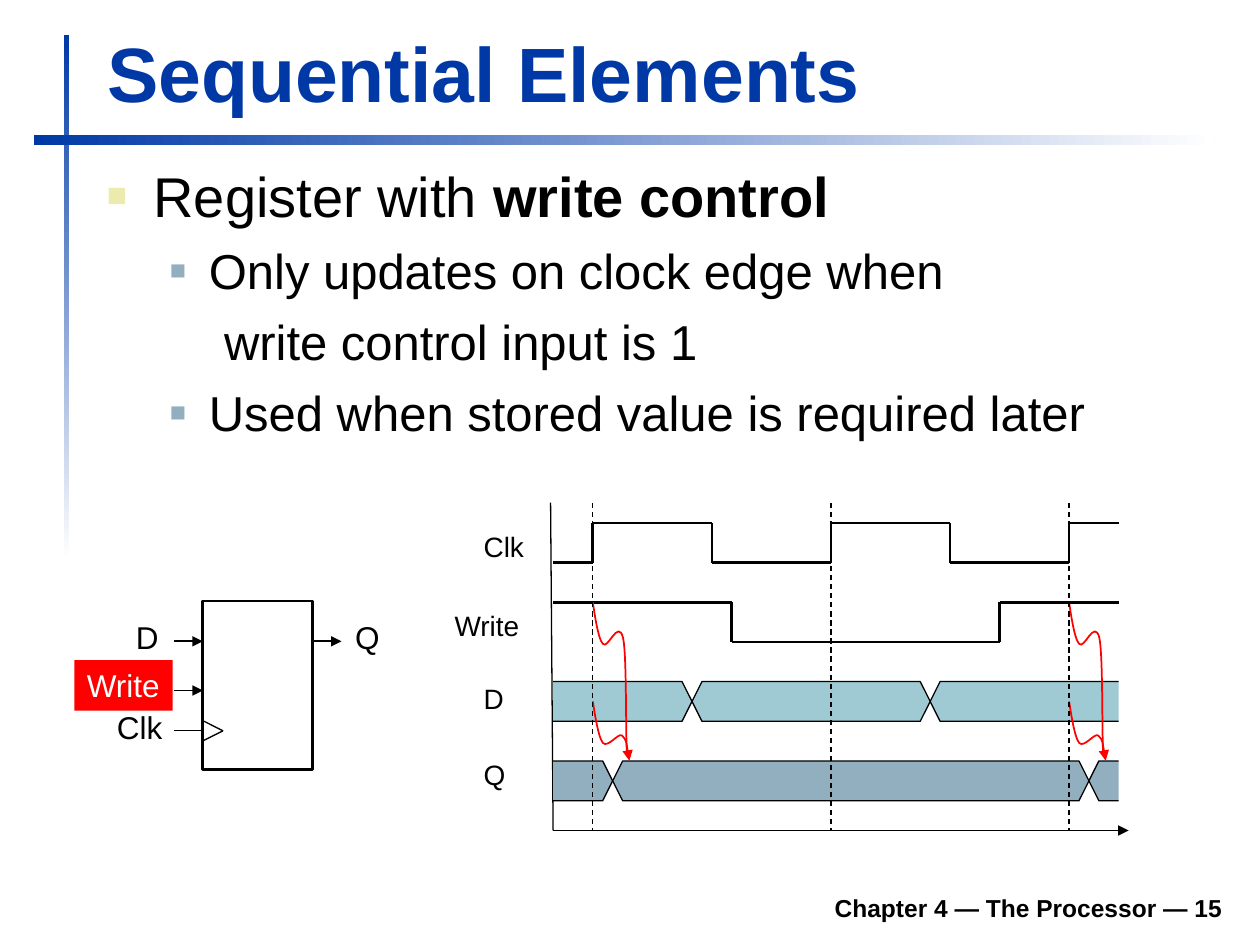
import pptx
import pptx.util
import pptx.dml.color
import pptx.enum.dml
import pptx.enum.shapes
import pptx.enum.text
import pptx.oxml
import pptx.oxml.ns

BLUE, BLACK, WHITE, RED = "0039A6", "000000", "FFFFFF", "FF0000"
TEAL, SLATE, CREAM = "9FCAD3", "91AFBF", "ECEAAC"
UNIT = 0.63 / 4  # one step of the timing grid, in inches
LEFT, TOP = 4.39, 4.15  # origin of the timing grid
END = 28.5  # last column of the signals


def inch(value):
    return pptx.util.Inches(value)


def colour(text):
    return pptx.dml.color.RGBColor.from_string(text)


def at(column, row):
    """Place on the timing grid, in inches."""
    return LEFT + column * UNIT, TOP + row * UNIT


def element(tag, **values):
    node = pptx.oxml.parse_xml(f"<a:{tag} {pptx.oxml.ns.nsdecls('a')}/>")
    for name, value in values.items():
        node.set(name, str(value))
    return node


class Page:
    """Holds the slide, its style and the place where new shapes go."""
    font = "Arial"

    def __init__(self, deck):
        self.slide = deck.slides.add_slide(deck.slide_layouts[5])
        self.shapes = self.slide.shapes

    def group(self):
        self.shapes = self.slide.shapes.add_group_shape().shapes

    def span(self, para, text, size, ink=BLACK, bold=False):
        span = para.add_run()
        span.text = text
        span.font.name, span.font.size = self.font, pptx.util.Pt(size)
        span.font.bold, span.font.color.rgb = bold, colour(ink)

    def title(self, text, place, size):
        box = self.slide.shapes.title
        box.left, box.top, box.width, box.height = map(inch, place)
        box.text_frame.vertical_anchor = pptx.enum.text.MSO_ANCHOR.BOTTOM
        para = box.text_frame.paragraphs[0]
        para.alignment = pptx.enum.text.PP_ALIGN.LEFT
        self.span(para, text, size, BLUE, True)

    def text(self, place, wrap=False):
        box = self.shapes.add_textbox(*map(inch, place))
        box.text_frame.word_wrap = wrap
        return box

    def label(self, text, place, size, ink=BLACK):
        box = self.text(place)
        self.span(box.text_frame.paragraphs[0], text, size, ink)
        return box

    def bullet(self, para, left, hang, before, ink=None, share=0):
        para.space_before = pptx.util.Pt(before)
        props = para._p.get_or_add_pPr()
        props.set("marL", str(inch(left)))
        props.set("indent", str(inch(-hang)))
        if ink:
            shade = element("buClr")
            shade.append(element("srgbClr", val=ink))
            props.extend([shade, element("buSzPct", val=share * 1000),
                          element("buFont", typeface=self.font),
                          element("buChar", char="■")])

    def rectangle(self, place):
        kind = pptx.enum.shapes.MSO_SHAPE.RECTANGLE
        box = self.shapes.add_shape(kind, *map(inch, place))
        box.shadow.inherit = False
        return box

    def fade(self, place, angle):
        bar = self.rectangle(place)
        bar.line.fill.background()
        bar.fill.gradient()
        bar.fill.gradient_angle = angle
        for stop, ink, share in zip(bar.fill.gradient_stops, (BLUE, WHITE), (0, 1)):
            stop.color.rgb, stop.position = colour(ink), share

    def stroke(self, shape, width, ink=BLACK, arrow=False):
        shape.line.color.rgb = colour(ink)
        shape.line.width = pptx.util.Pt(width)
        if arrow:
            shape.line._get_or_add_ln().append(element("tailEnd", type="triangle"))

    def line(self, start, end, width=0.75, arrow=False, dashed=False):
        kind = pptx.enum.shapes.MSO_CONNECTOR.STRAIGHT
        line = self.shapes.add_connector(kind, *map(inch, (*start, *end)))
        self.stroke(line, width, arrow=arrow)
        if dashed:
            line.line.dash_style = pptx.enum.dml.MSO_LINE.DASH
        line._element.spPr.append(element("effectLst"))

    def wave(self, corners):
        points = [at(*corner) for corner in corners]
        for start, end in zip(points, points[1:]):
            self.line(start, end, 1.5)

    def outline(self, points, closed=False):
        points = [(inch(x), inch(y)) for x, y in points]
        builder = self.shapes.build_freeform(*points[0])
        builder.add_line_segments(points[1:], close=closed)
        shape = builder.convert_to_shape()
        shape.shadow.inherit = False
        return shape

    def curve(self, start, offsets, arrow=False):
        """Joined cubic curves; each takes three of the offsets from start."""
        shape = self.outline([start] + [(start[0] + x, start[1] + y) for x, y in offsets])
        segments = shape._element.findall(".//" + pptx.oxml.ns.qn("a:lnTo"))
        for first in range(0, len(segments), 3):
            cubic = element("cubicBezTo")
            segments[first].addprevious(cubic)
            for segment in segments[first:first + 3]:
                cubic.append(segment[0])
                segment.getparent().remove(segment)
        shape.fill.background()
        self.stroke(shape, 1, RED, arrow)

    def bus(self, row, crossings, fill):
        """A data signal two rows high whose value changes at each crossing."""
        first, last = crossings
        for start, end in ((0, first), (first, last), (last, END)):
            right = [(end, row), (end, row + 2)]
            if end != END:
                right = [(end - 0.5, row), (end, row + 1), (end - 0.5, row + 2)]
            left = [(start, row + 2), (start, row)]
            if start:
                left = [(start + 0.5, row + 2), (start, row + 1), (start + 0.5, row)]
            # An open end starts the path, so that it gets no edge line
            corners = left[-1:] + right + left[:-1]
            if end == END:
                corners = right[1:] + left + right[:1]
            shape = self.outline([at(*c) for c in corners], start > 0 and end != END)
            shape.fill.solid()
            shape.fill.fore_color.rgb = colour(fill)
            self.stroke(shape, 0.75)


def main():
    deck = pptx.Presentation()
    deck.slide_width, deck.slide_height = inch(10), inch(7.5)
    page = Page(deck)

    # Rules, footer and title
    page.fade((0.51, 0.28, 0.04, 4.17), 270)
    page.fade((0.27, 1.07, 9.37, 0.08), 0)
    footer = page.text((1.85, 6.98, 7.95, 0.39), wrap=True)
    footer.text_frame.vertical_anchor = pptx.enum.text.MSO_ANCHOR.BOTTOM
    para = footer.text_frame.paragraphs[0]
    para.alignment = pptx.enum.text.PP_ALIGN.RIGHT
    page.span(para, "Chapter 4 — The Processor — 15", 14, bold=True)
    page.title("Sequential Elements", (0.75, 0.16, 9.03, 0.83), 44)

    # Bulleted text
    frame = page.text((0.75, 1.23, 9.04, 2.52), wrap=True).text_frame
    para = frame.paragraphs[0]
    page.bullet(para, 0.37, 0.37, 8, CREAM, 60)
    page.span(para, "Register with ", 32)
    page.span(para, "write control", 32, bold=True)
    for text, left, hang, ink in (
            ("Only updates on clock edge when", 0.81, 0.31, SLATE),
            ("write control input is 1", 0.93, 0, None),
            ("Used when stored value is required later", 0.81, 0.31, SLATE)):
        para = frame.add_paragraph()
        para.level = 1
        page.bullet(para, left, hang, 7, ink, 55)
        page.span(para, text, 28)

    # Register symbol
    page.group()
    register = page.rectangle((1.61, 4.77, 0.87, 1.34))
    register.fill.background()
    page.stroke(register, 1.5)
    for x, y in ((1.38, 5.09), (1.38, 5.48), (2.48, 5.09)):
        page.line((x, y), (x + 0.23, y), 1, arrow=True)
    page.line((1.38, 5.8), (1.61, 5.8))
    for y in (5.72, 5.88):
        page.line((1.61, y), (1.77, 5.8))
    page.label("D", (0.98, 4.86, 0.38, 0.4), 18)
    page.label("Clk", (0.83, 5.57, 0.56, 0.4), 18)
    page.label("Q", (2.72, 4.86, 0.39, 0.4), 18)
    write = page.label("Write", (0.59, 5.24, 0.78, 0.4), 18, WHITE)
    write.fill.solid()
    write.fill.fore_color.rgb = colour(RED)

    # Timing diagram: axes, signal names and waves
    page.group()
    page.line(at(0, 15.5), at(29, 15.5), arrow=True)
    page.line(at(0, 15.5), (4.37, 3.99))
    for text, x, y, width in (("Clk", 3.74, 4.15, 0.52), ("Write", 3.51, 4.78, 0.71),
                              ("D", 3.74, 5.36, 0.36), ("Q", 3.74, 5.96, 0.37)):
        page.label(text, (x, y, width, 0.37), 16)
    clock = [(0, 2)]
    for index, column in enumerate(range(2, 27, 6)):
        levels = (2, 0) if index % 2 == 0 else (0, 2)
        clock += [(column, level) for level in levels]
    page.wave(clock + [(END, 0)])
    page.wave([(0, 4), (9, 4), (9, 6), (22.5, 6), (22.5, 4), (END, 4)])
    page.bus(8, (7, 19), TEAL)
    page.bus(12, (3, 27), SLATE)

    # Rising clock edges, and what the output depends on
    from_data = [(0.01, 0.06), (0.04, 0.28), (0.08, 0.33),
                 (0.12, 0.37), (0.2, 0.25), (0.23, 0.27),
                 (0.27, 0.3), (0.28, 0.43), (0.29, 0.47)]
    from_write = [(0.01, 0.06), (0.04, 0.29), (0.08, 0.33),
                  (0.12, 0.38), (0.2, 0.13), (0.24, 0.28),
                  (0.27, 0.42), (0.26, 1), (0.27, 1.19)]
    for column in (2, 26):
        page.curve(at(column, 9), from_data, arrow=True)
        page.curve(at(column, 4), from_write)
    for column in (2, 14, 26):
        page.line(at(column, -1), at(column, 15.5), dashed=True)

    deck.save("out.pptx")


if __name__ == "__main__":
    main()
